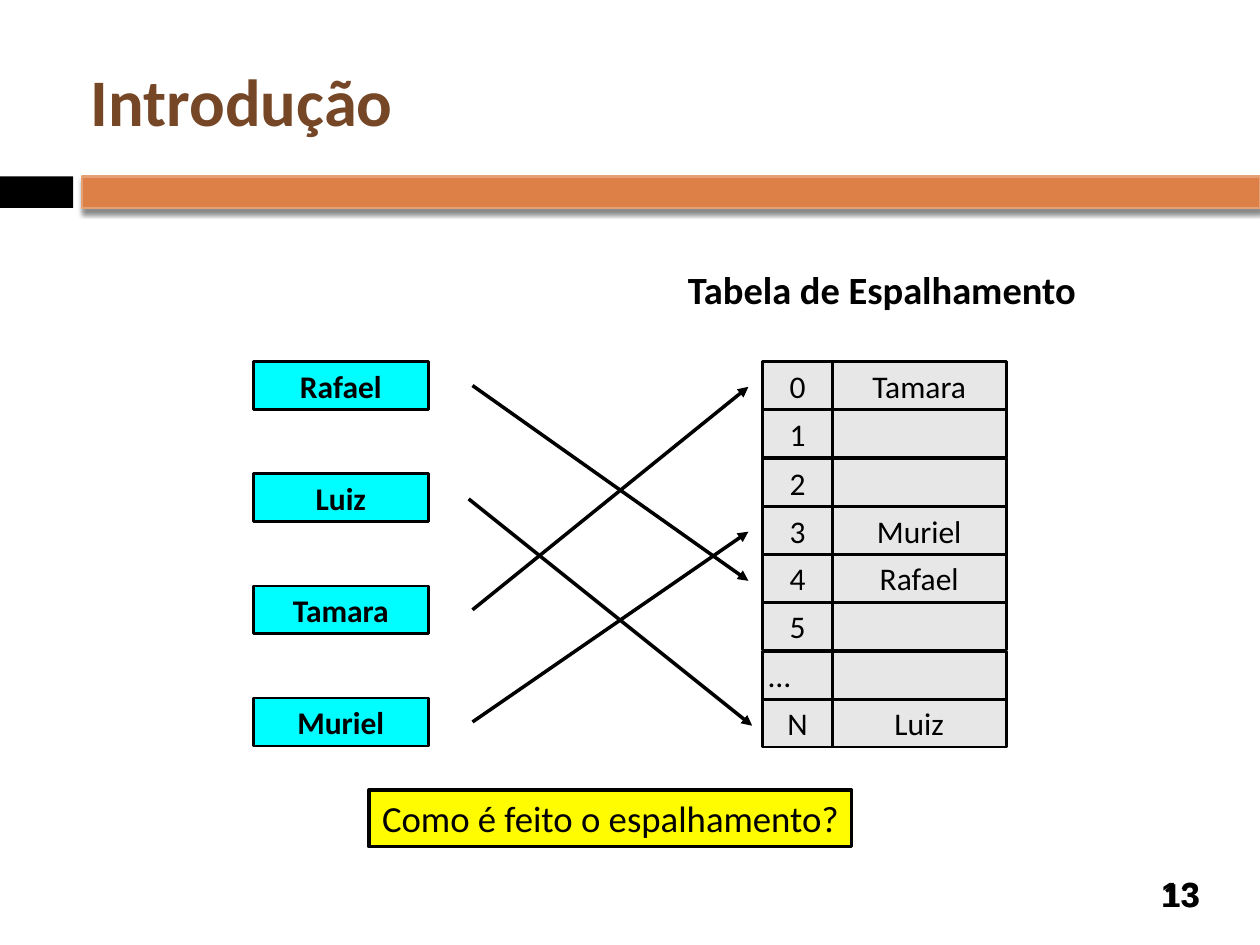
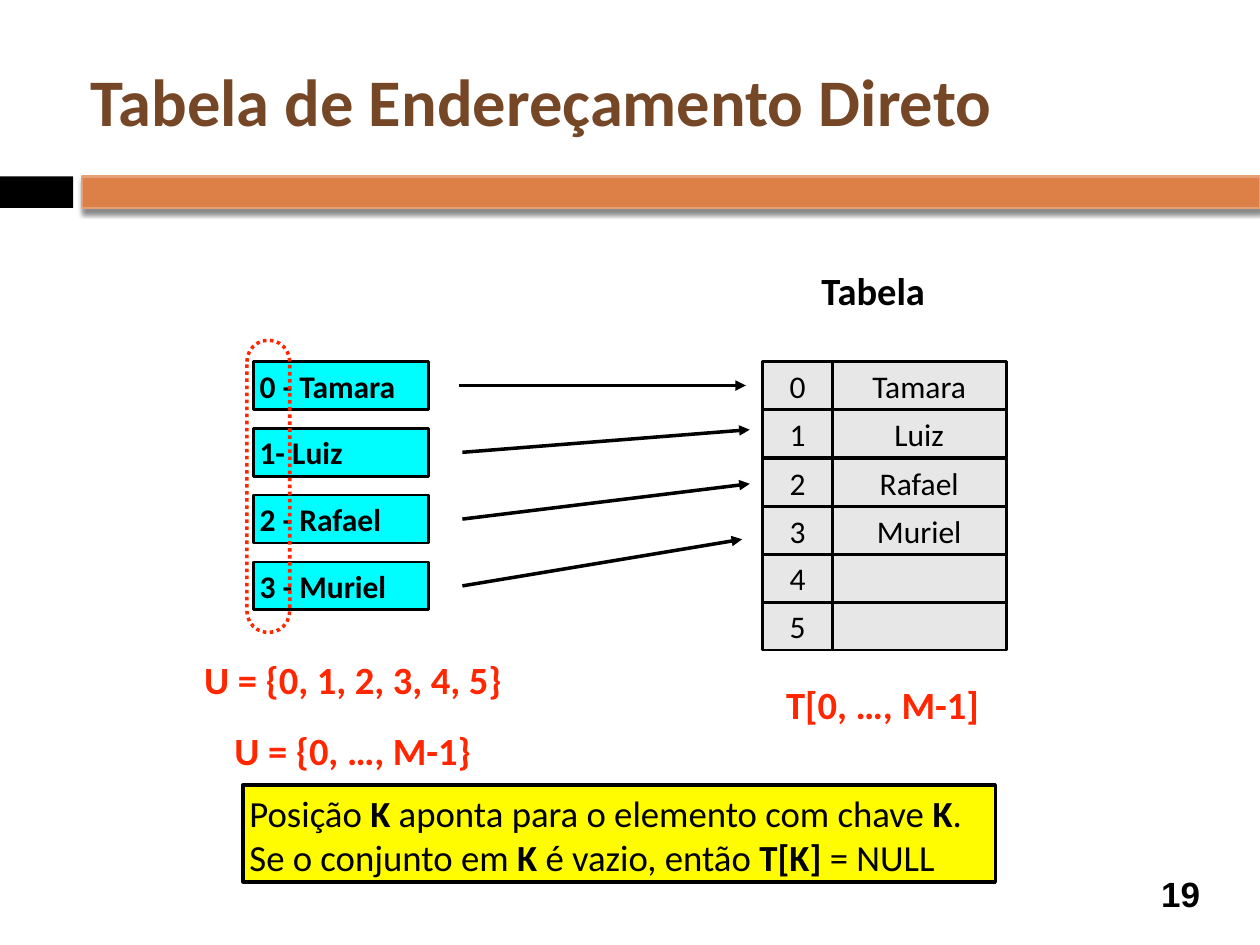
"""Builds two slides on hash tables and direct-address tables."""
from dataclasses import dataclass

from lxml import etree
from pptx import Presentation, util as u
from pptx.dml.color import RGBColor
from pptx.enum import dml, shapes, text as t
from pptx.oxml import ns

EMU_PER_PX = 9144
KEY_LEFT, KEY_WIDTH = 201, 139
ROW_TOP, ROW_PITCH, ROW_HEIGHT = 287, 38.3, 38
INDEX_LEFT, INDEX_WIDTH = 605, 56
VALUE_LEFT, VALUE_WIDTH = 660, 139


@dataclass(frozen=True)
class Theme:
    font: str = "Calibri"
    number_font: str = "Arial"
    black: str = "000000"
    title: str = "754726"
    band: str = "DD8047"
    band_edge: str = "E5A075"
    cell: str = "E7E7E7"
    key: str = "00FDFF"
    note: str = "FFFB00"
    red: str = "FF2600"
    title_size: int = 38
    label_size: int = 22
    note_size: int = 21
    number_size: int = 20
    cell_size: int = 18
    thin: float = 1.5
    thick: float = 2


THEME = Theme()
LEFT, CENTER, JUSTIFY = t.PP_ALIGN.LEFT, t.PP_ALIGN.CENTER, t.PP_ALIGN.JUSTIFY
TOP, MIDDLE = t.MSO_ANCHOR.TOP, t.MSO_ANCHOR.MIDDLE


def px(*lengths):
    return [u.Emu(round(length * EMU_PER_PX)) for length in lengths]


def color(code):
    return RGBColor.from_string(code)


def write(shape, text, *, size=THEME.cell_size, font=THEME.font, ink=THEME.black,
          bold=False, align=LEFT, anchor=MIDDLE, wrap=True, grow=False):
    frame = shape.text_frame
    frame.word_wrap = wrap
    frame.vertical_anchor = anchor
    frame.auto_size = t.MSO_AUTO_SIZE.SHAPE_TO_FIT_TEXT if grow else t.MSO_AUTO_SIZE.NONE
    frame.margin_left, frame.margin_top, frame.margin_right, frame.margin_bottom = px(5, 5, 5, 5)
    for number, line in enumerate(text.split("\n")):
        paragraph = frame.add_paragraph() if number else frame.paragraphs[0]
        paragraph.alignment = align
        for part, words in enumerate(line.split("*")):
            run = paragraph.add_run()
            run.text = words
            run.font.name = font
            run.font.size = u.Pt(size)
            run.font.bold = bold or part % 2 == 1
            run.font.color.rgb = color(ink)


def add_box(slide, *box, fill=None, edge=THEME.black, weight=THEME.thin,
            kind=shapes.MSO_SHAPE.RECTANGLE):
    shape = slide.shapes.add_shape(kind, *px(*box))
    shape.shadow.inherit = False
    if fill:
        shape.fill.solid()
        shape.fill.fore_color.rgb = color(fill)
    else:
        shape.fill.background()
    if edge:
        shape.line.color.rgb = color(edge)
        shape.line.width = u.Pt(weight)
    else:
        shape.line.fill.background()
    return shape


def add_label(slide, text, *box, **style):
    write(slide.shapes.add_textbox(*px(*box)), text, bold=True, **style)


def add_caption(slide, text, *box, ink=THEME.black):
    add_label(slide, text, *box, size=THEME.label_size, ink=ink,
              anchor=TOP, wrap=False, grow=True)


def add_note(slide, text, *box, align):
    note = add_box(slide, *box, fill=THEME.note, weight=THEME.thick)
    write(note, text, size=THEME.note_size, align=align, anchor=TOP, grow=True)


def add_arrow(slide, *ends):
    arrow = slide.shapes.add_connector(shapes.MSO_CONNECTOR.STRAIGHT, *px(*ends))
    arrow.line.color.rgb = color(THEME.black)
    arrow.line.width = u.Pt(THEME.thick)
    etree.SubElement(arrow.line._get_or_add_ln(), ns.qn("a:tailEnd"), type="triangle")
    etree.SubElement(arrow._element.spPr, ns.qn("a:effectLst"))


def add_soft_shadow(shape):
    effects = shape._element.spPr.find(ns.qn("a:effectLst"))
    shadow = etree.SubElement(effects, ns.qn("a:outerShdw"), blurRad=str(u.Pt(3)),
                              dist=str(u.Pt(2.4)), dir="5400000", rotWithShape="0")
    tint = etree.SubElement(shadow, ns.qn("a:srgbClr"), val=THEME.black)
    etree.SubElement(tint, ns.qn("a:alpha"), val="45000")


def add_keys(slide, names, pitch, align):
    for row, name in enumerate(names):
        key = add_box(slide, KEY_LEFT, ROW_TOP + row * pitch, KEY_WIDTH, ROW_HEIGHT, fill=THEME.key)
        write(key, name, bold=True, align=align)


def add_column(slide, left, width, entries):
    for row, entry in enumerate(entries):
        top = round(ROW_TOP + row * ROW_PITCH)
        cell = add_box(slide, left, top, width, ROW_HEIGHT, fill=THEME.cell)
        if entry:
            write(cell, entry, align=LEFT if entry == "…" else CENTER)


def add_lookup(slide, indexes, values):
    add_column(slide, VALUE_LEFT, VALUE_WIDTH, values)
    add_column(slide, INDEX_LEFT, INDEX_WIDTH, indexes)


def start_slide(presentation, title, number, number_fonts):
    slide = presentation.slides.add_slide(presentation.slide_layouts[6])
    add_box(slide, 0, 140, 58, 25, fill=THEME.black, edge=None)
    add_soft_shadow(add_box(slide, 65, 140, 935, 25, fill=THEME.band, edge=THEME.band_edge))
    add_label(slide, title, 67, 25, 892, 108, size=THEME.title_size, ink=THEME.title)
    for font in number_fonts:
        add_label(slide, number, 908, 689, 58, 41, size=THEME.number_size,
                  font=font, align=CENTER)
    return slide


def build_introduction(presentation):
    slide = start_slide(presentation, "Introdução", "13", (THEME.number_font, THEME.font))
    add_lookup(slide, [*"012345…N"],
               ["Tamara", "", "", "Muriel", "Rafael", "", "", "Luiz"])
    add_keys(slide, ["Rafael", "Luiz", "Tamara", "Muriel"], 89, CENTER)
    for ends in ((372, 396, 597, 576), (375, 306, 594, 461),
                 (375, 484, 594, 307), (375, 573, 594, 422)):
        add_arrow(slide, *ends)
    add_caption(slide, "Tabela de Espalhamento", 541, 206, 323, 43)
    add_note(slide, "Como é feito o espalhamento?", 293, 627, 383, 45, align=CENTER)


def build_direct_addressing(presentation):
    slide = start_slide(presentation, "Tabela de Endereçamento Direto", "19", (THEME.number_font,))
    add_lookup(slide, [*"012345"], ["Tamara", "Luiz", "Rafael", "Muriel", "", ""])
    add_keys(slide, ["0 - Tamara", "1- Luiz", "2 - Rafael", "3 - Muriel"], 53, LEFT)
    add_caption(slide, "Tabela", 647, 207, 96, 43)
    for ends in ((364, 306, 592, 306), (367, 359, 595, 341),
                 (367, 412, 595, 384), (367, 465, 589, 428)):
        add_arrow(slide, *ends)
    key_outline = add_box(slide, 196, 270, 34, 232, edge=THEME.red, weight=THEME.thick,
                          kind=shapes.MSO_SHAPE.ROUNDED_RECTANGLE)
    key_outline.adjustments[0] = 0.5
    key_outline.line.dash_style = dml.MSO_LINE.ROUND_DOT
    add_caption(slide, "U = {0, 1, 2, 3, 4, 5}", 157, 516, 269, 43, ink=THEME.red)
    add_caption(slide, "U = {0, …, M-1}", 181, 572, 220, 43, ink=THEME.red)
    add_caption(slide, "T[0, …, M-1]", 619, 536, 174, 43, ink=THEME.red)
    add_note(slide, "Posição *K* aponta para o elemento com chave *K*.\n"
                    "Se o conjunto em *K* é vazio, então *T[K]* = NULL",
             193, 623, 597, 77, align=JUSTIFY)


def main():
    presentation = Presentation()
    presentation.slide_width, presentation.slide_height = px(1000, 750)
    build_introduction(presentation)
    build_direct_addressing(presentation)
    presentation.save("out.pptx")


if __name__ == "__main__":
    main()
